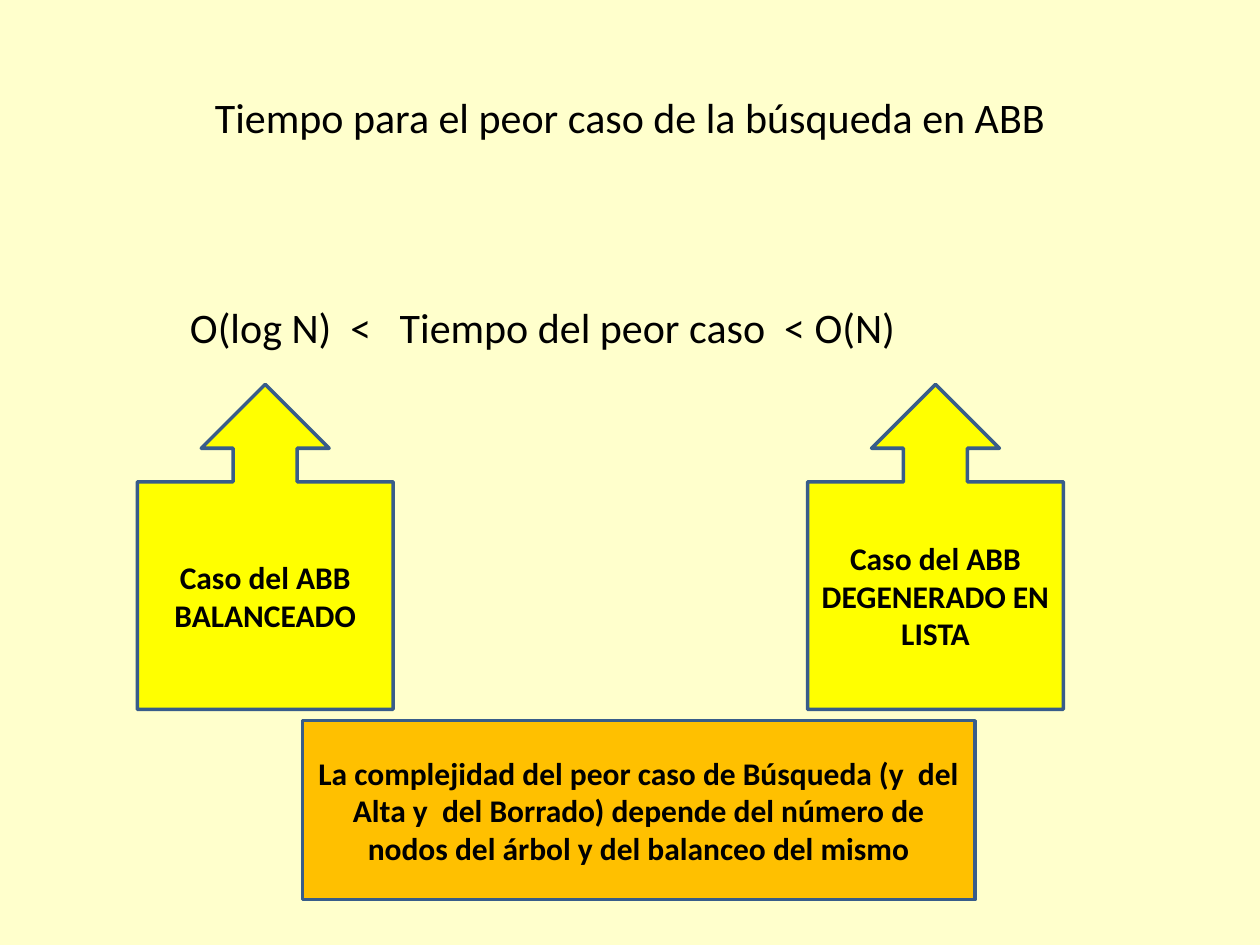
from pptx import Presentation
from pptx.dml.color import RGBColor
from pptx.enum.shapes import MSO_SHAPE
from pptx.enum.text import MSO_ANCHOR, PP_ALIGN
from pptx.util import Inches, Pt

CREAM = RGBColor(0xFF, 0xFF, 0xCC)
YELLOW = RGBColor(0xFF, 0xFF, 0x00)
AMBER = RGBColor(0xFF, 0xC0, 0x00)
BLUE = RGBColor(0x38, 0x5D, 0x8A)
BLACK = RGBColor(0, 0, 0)

CASE_TOP, CASE_WIDTH, CASE_HEIGHT = Inches(3.05), Inches(2.03), Inches(2.58)


def write(frame, lines, size, align, bold=False, anchor=MSO_ANCHOR.MIDDLE):
    """Fill a text frame with one paragraph per line."""
    frame.word_wrap = True
    frame.vertical_anchor = anchor
    frame.text = "\n".join(lines)
    for paragraph in frame.paragraphs:
        paragraph.alignment = align
        paragraph.font.name = "Calibri"
        paragraph.font.size = Pt(size)
        paragraph.font.bold = bold
        paragraph.font.color.rgb = BLACK


def place_title(slide, left, top, width, height):
    title = slide.shapes.title
    title.left, title.top, title.width, title.height = left, top, width, height
    write(title.text_frame, ["Tiempo para el peor caso de la búsqueda en ABB"],
          24, PP_ALIGN.CENTER)


def add_bounds(slide, left, top, width, height):
    bounds = slide.shapes.add_textbox(left, top, width, height)
    write(bounds.text_frame, ["O(log N)  <   Tiempo del peor caso  < O(N)"],
          24, PP_ALIGN.LEFT, anchor=MSO_ANCHOR.TOP)


def add_panel(slide, preset, box, fill, lines):
    """Add an outlined panel with bold centred text."""
    panel = slide.shapes.add_shape(preset, *box)
    panel.shadow.inherit = False
    panel.fill.solid()
    panel.fill.fore_color.rgb = fill
    panel.line.color.rgb = BLUE
    panel.line.width = Pt(2)
    write(panel.text_frame, lines, 18, PP_ALIGN.CENTER, bold=True)
    return panel


def add_case(slide, left, top, width, height, kind):
    case = add_panel(slide, MSO_SHAPE.UP_ARROW_CALLOUT, (left, top, width, height),
                     YELLOW, ["Caso del ABB", kind])
    for index, value in enumerate((0.25, 0.25, 0.25, 0.7)):
        case.adjustments[index] = value


def add_conclusion(slide, left, top, width, height):
    add_panel(slide, MSO_SHAPE.RECTANGLE, (left, top, width, height), AMBER,
              ["La complejidad del peor caso de Búsqueda (y  del Alta y  del Borrado) "
               "depende del número de nodos del árbol y del balanceo del mismo"])


def main():
    deck = Presentation()
    deck.slide_width, deck.slide_height = Inches(10), Inches(7.5)
    slide = deck.slides.add_slide(deck.slide_layouts[5])
    slide.background.fill.solid()
    slide.background.fill.fore_color.rgb = CREAM

    # Title and the inequality
    place_title(slide, Inches(0.5), Inches(0.3), Inches(9), Inches(1.25))
    add_bounds(slide, Inches(1.41), Inches(2.34), Inches(7.27), Inches(0.5))

    # Extreme cases, each pointing up at its bound
    for left, kind in ((6.41, "DEGENERADO EN LISTA"), (1.09, "BALANCEADO")):
        add_case(slide, Inches(left), CASE_TOP, CASE_WIDTH, CASE_HEIGHT, kind)

    # Conclusion
    add_conclusion(slide, Inches(2.4), Inches(5.72), Inches(5.34), Inches(1.42))
    deck.save("out.pptx")


if __name__ == "__main__":
    main()
